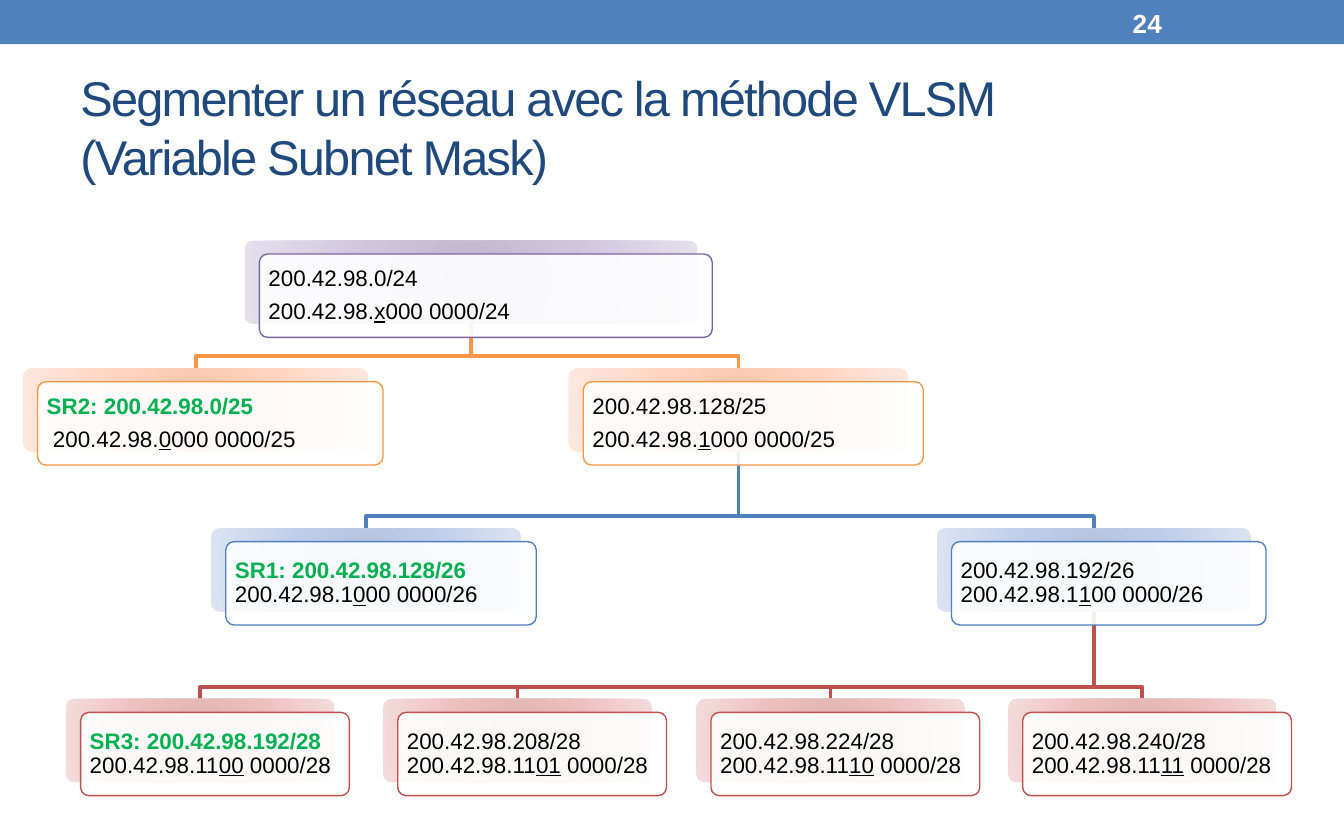
from lxml import etree
from pptx import Presentation
from pptx.dml.color import RGBColor
from pptx.enum.shapes import MSO_SHAPE
from pptx.enum.text import MSO_ANCHOR, PP_ALIGN
from pptx.oxml import parse_xml
from pptx.util import Inches, Pt

NS = "http://schemas.openxmlformats.org/drawingml/2006/main"
BLACK, GREEN, WHITE, NAVY, BLUE = "000000", "00B050", "FFFFFF", "1F497D", "4F81BD"


def color(hex_code):
    """Turn a hex string into a colour."""
    return RGBColor.from_string(hex_code)


def grid(count):
    """Turn grid columns or rows (100 columns by 62.5 rows) into a length."""
    return Inches(count / 10)


class TreeSlide:
    """The style and the current slide."""

    font = "Arial"
    node_height = 6.2
    offset = (1.1, 1.0)
    elbow_gap = 0.9

    def __init__(self, prs):
        """Add a blank slide to the presentation."""
        self.slide = prs.slides.add_slide(prs.slide_layouts[6])

    def run(self, paragraph, text, size, hex_code, bold=False, underline=False):
        """Append one styled run."""
        run = paragraph.add_run()
        run.text = text
        font = run.font
        font.name, font.size, font.bold = self.font, Pt(size), bold
        font.color.rgb = color(hex_code)
        if underline:
            font.underline = True
        return run

    def box(self, kind, left, top, width, height, fill=None):
        """Add a preset shape without line or shadow."""
        shape = self.slide.shapes.add_shape(kind, *map(grid, (left, top, width, height)))
        shape.shadow.inherit = False
        shape.line.fill.background()
        if fill:
            shape.fill.solid()
            shape.fill.fore_color.rgb = color(fill)
        if kind == MSO_SHAPE.ROUNDED_RECTANGLE:
            shape.adjustments[0] = 0.1
        return shape

    def label(self, left, top, width, height, lines, size, hex_code, bold=False, spacing=0):
        """Add a text box, its lines parted by line breaks."""
        frame = self.slide.shapes.add_textbox(
            *map(grid, (left, top, width, height))).text_frame
        frame.word_wrap = True
        frame.vertical_anchor = MSO_ANCHOR.MIDDLE
        paragraph = frame.paragraphs[0]
        for i, line in enumerate(lines):
            if i:
                paragraph.add_line_break()
            run = self.run(paragraph, line, size, hex_code, bold)
            if spacing:
                run.font._element.set("spc", str(spacing))

    def branch(self, parent, child, hex_code):
        """Draw the elbow line from a parent node down to a child node."""
        (x1, y1), (x2, y2) = parent, child
        bend = y2 - self.elbow_gap
        points = [(grid(x), grid(y)) for x, y in ((x1, y1), (x1, bend), (x2, bend), (x2, y2))]
        builder = self.slide.shapes.build_freeform(*points[0])
        builder.add_line_segments(points[1:], close=False)
        line = builder.convert_to_shape()
        line.shadow.inherit = False
        line.fill.background()
        line.line.color.rgb = color(hex_code)
        line.line.width = Pt(2.08)

    def glow(self, shape, hex_codes):
        """Fill a shape with a round three-stop gradient."""
        stops = "".join(f'<a:gs pos="{pos}000"><a:srgbClr val="{code}"/></a:gs>'
                        for pos, code in zip((0, 45, 100), hex_codes))
        shape.fill.background()
        old = shape._element.spPr.find(f"{{{NS}}}noFill")
        old.getparent().replace(old, parse_xml(
            f'<a:gradFill xmlns:a="{NS}" rotWithShape="1"><a:gsLst>{stops}</a:gsLst>'
            '<a:path path="circle"><a:fillToRect l="100000" t="100000" r="100000" '
            'b="100000"/></a:path></a:gradFill>'))

    def node(self, left, top, width, head, binary, line, shades, split):
        """Draw a network card over its shaded back; _ marks underlined digits."""
        kind, (dx, dy) = MSO_SHAPE.ROUNDED_RECTANGLE, self.offset
        self.glow(self.box(kind, left, top, width, self.node_height), shades)
        card = self.box(kind, left + dx, top + dy, width, self.node_height, WHITE)
        white = card._element.spPr.find(f"{{{NS}}}solidFill")[0]
        etree.SubElement(white, f"{{{NS}}}alpha").set("val", "90000")
        card.line.color.rgb = color(line)
        card.line.width = Pt(0.75)
        frame = card.text_frame
        frame.word_wrap = True
        frame.vertical_anchor = MSO_ANCHOR.MIDDLE
        frame.margin_left = frame.margin_right = Inches(0.05)
        frame.margin_top = frame.margin_bottom = Inches(0.05)
        chosen = head.startswith("SR")
        paragraph = frame.paragraphs[0]
        self.run(paragraph, head if split else head + " ", 12,
                 GREEN if chosen else BLACK, chosen)
        if split:
            paragraph = frame.add_paragraph()
        for i, part in enumerate(binary.split("_")):
            self.run(paragraph, part, 12, BLACK, underline=i == 1)
        for paragraph in frame.paragraphs:
            paragraph.alignment = PP_ALIGN.LEFT
            paragraph.line_spacing = 0.9
            paragraph.space_after = Pt(4.8)


# Each level: top row, line colour, shades, heads on their own paragraph,
# index of the parent in the level above, nodes (left, width, head, binary).
LEVELS = [
    (17.9, "8064A2", ("BFB6CD", "CEC5DD", "E4DFEC"), True, None, [
        (18.2, 33.7, "200.42.98.0/24", "200.42.98._x_000 0000/24")]),
    (27.4, "F79646", ("F6C2AA", "FFD4C0", "FFE7DD"), True, 0, [
        (1.7, 25.7, "SR2: 200.42.98.0/25", " 200.42.98._0_000 0000/25"),
        (42.3, 25.3, "200.42.98.128/25", "200.42.98._1_000 0000/25")]),
    (39.3, BLUE, ("B0BED9", "BECDEA", "DBE3F3"), False, 1, [
        (15.7, 23.1, "SR1: 200.42.98.128/26", "200.42.98.1_0_00 0000/26"),
        (69.7, 23.4, "200.42.98.192/26", "200.42.98.1_1_00 0000/26")]),
    (52, "C0504D", ("DAB0AF", "EBBEBD", "F4DBDB"), False, 1, [
        (4.9, 20, "SR3: 200.42.98.192/28", "200.42.98.11_00_ 0000/28"),
        (28.5, 20, "200.42.98.208/28", "200.42.98.11_01_ 0000/28"),
        (51.8, 20, "200.42.98.224/28", "200.42.98.11_10_ 0000/28"),
        (75, 20, "200.42.98.240/28", "200.42.98.11_11_ 0000/28")]),
]


def main():
    """Build the subnet tree slide."""
    prs = Presentation()
    prs.slide_width, prs.slide_height = grid(100), grid(62.5)
    page = TreeSlide(prs)
    page.box(MSO_SHAPE.RECTANGLE, 0, 0, 100, 3.3, BLUE)
    page.label(5, 4.9, 90, 9, ("Segmenter un réseau avec la méthode VLSM",
                               "(Variable Subnet Mask)"), 26.1, NAVY, spacing=-100)
    page.label(83.3, 0.2, 11.7, 3, ("24",), 14, WHITE, bold=True)

    for above, (top, line, _, _, parent, nodes) in zip(LEVELS, LEVELS[1:]):
        left, width = above[5][parent][:2]
        start = (left + width / 2, above[0] + page.node_height)
        for child in nodes:
            page.branch(start, (child[0] + child[1] / 2, top), line)
    for top, line, shades, split, _, nodes in LEVELS:
        for left, width, head, binary in nodes:
            page.node(left, top, width, head, binary, line, shades, split)
    prs.save("out.pptx")


main()
